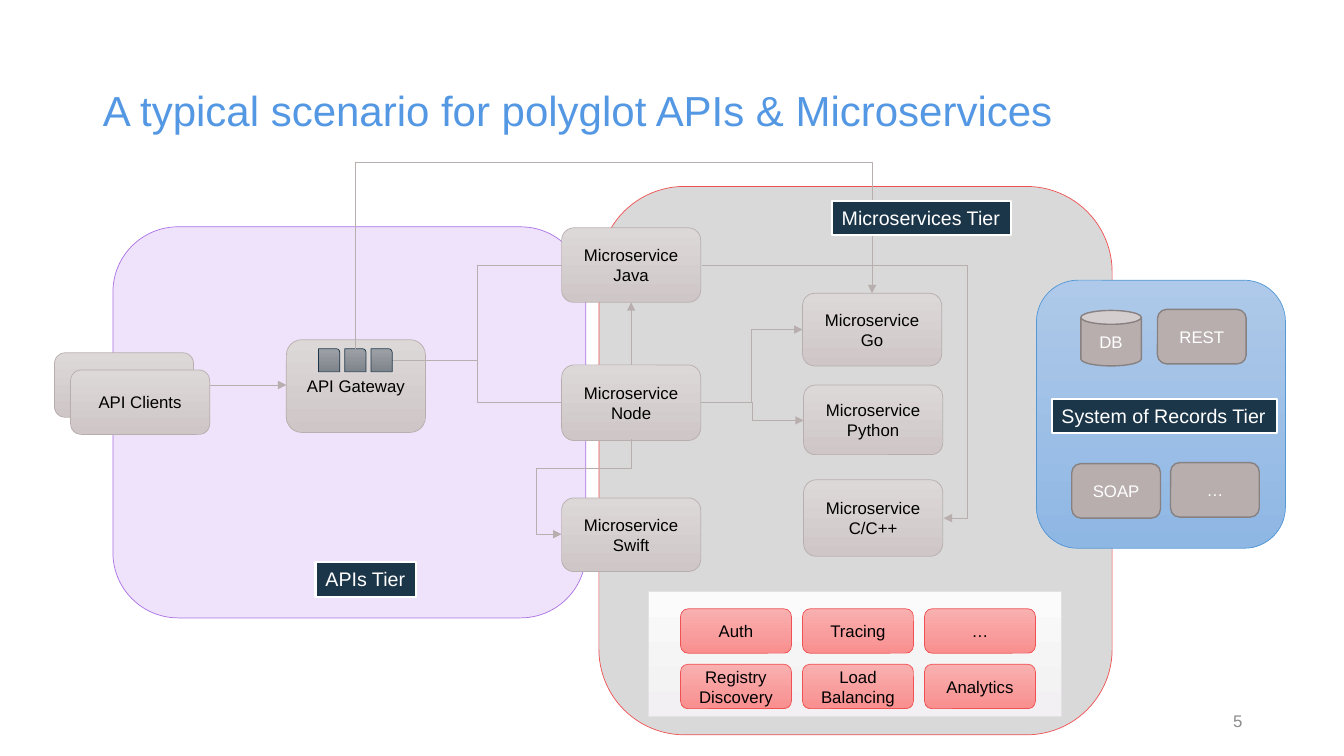
from lxml.etree import SubElement
from pptx import Presentation
from pptx.dml.color import RGBColor
from pptx.enum.shapes import MSO_CONNECTOR, MSO_SHAPE
from pptx.enum.text import MSO_ANCHOR, PP_ALIGN
from pptx.oxml.ns import qn
from pptx.util import Pt

PX = 9144
COLORS = {
    "title": "5498E4", "black": "000000", "white": "FFFFFF", "number": "8C8C8C",
    "lilac": "EEE3FA", "purple": "AC72E6", "gray": "D9D9D9", "red": "F05253",
    "stone": "B8AEAE", "stone_edge": "888181", "navy": "1C3649", "blue": "5498D5",
    "panel_edge": "E4E1E4",
    "service_top": "DDD8D8", "service_bottom": "CFC7C7",
    "panel_top": "FBFBFB", "panel_bottom": "F2F0F2",
    "pink_top": "F9B0B0", "pink_bottom": "F98F8F",
    "icon_top": "9EA2A7", "icon_bottom": "7D838A",
    "records_top": "AEC9E9", "records_bottom": "8FB7E4",
}
SERVICE = ("service_top", "service_bottom")
PINK = ("pink_top", "pink_bottom")


def color(name):
    return RGBColor.from_string(COLORS[name])


def write(frame, text, size=12, ink="black", align=PP_ALIGN.CENTER,
          anchor=MSO_ANCHOR.MIDDLE, wrap=True, spacing=None):
    frame.text = text
    frame.word_wrap = wrap
    frame.vertical_anchor = anchor
    for paragraph in frame.paragraphs:
        paragraph.alignment = align
        paragraph.line_spacing = spacing
        font = paragraph.font
        font.name, font.size = "Arial", Pt(size)
        font.color.rgb = color(ink)


class Diagram:
    def __init__(self, slide, font_size=12, line_width=0.5):
        self.slide = slide
        self.shapes = slide.shapes
        self.font_size = font_size
        self.line_width = line_width

    def title(self, text, box):
        heading = self.shapes.title
        heading.left, heading.top, heading.width, heading.height = (v * PX for v in box)
        write(heading.text_frame, text, size=30, ink="title",
              align=PP_ALIGN.LEFT, spacing=0.9)

    def block(self, box, fill, edge, text="", ink="black",
              kind=MSO_SHAPE.ROUNDED_RECTANGLE, width=None):
        block = self.shapes.add_shape(kind, *(v * PX for v in box))
        block.shadow.inherit = False
        if isinstance(fill, tuple):
            block.fill.gradient()
            block.fill.gradient_angle = 270
            for stop, shade in zip(block.fill.gradient_stops, fill):
                stop.color.rgb = color(shade)
        else:
            block.fill.solid()
            block.fill.fore_color.rgb = color(fill)
        block.line.color.rgb = color(edge)
        block.line.width = Pt(width or self.line_width)
        if text:
            write(block.text_frame, text, size=self.font_size, ink=ink)

    def service(self, box, text=""):
        self.block(box, SERVICE, "stone", text)

    def tag(self, box, text):
        tag = self.shapes.add_textbox(*(v * PX for v in box))
        tag.fill.solid()
        tag.fill.fore_color.rgb = color("navy")
        tag.line.color.rgb = color("white")
        tag.line.width = Pt(1.5)
        write(tag.text_frame, text, size=14, ink="white", align=PP_ALIGN.LEFT,
              anchor=MSO_ANCHOR.TOP, wrap=False)

    def page_number(self, box, text):
        number = self.shapes.add_textbox(*(v * PX for v in box))
        write(number.text_frame, text, ink="number", align=PP_ALIGN.RIGHT)

    def link(self, start, end, bends=(), arrow=True, straight=False, vertical=False):
        (x1, y1), (x2, y2) = start, end
        if vertical:
            center_x, center_y = (x1 + x2) / 2, (y1 + y2) / 2
            half_run, half_rise = (y2 - y1) / 2, (x1 - x2) / 2
            x1, x2 = center_x - half_run, center_x + half_run
            y1, y2 = center_y - half_rise, center_y + half_rise
        route = MSO_CONNECTOR.STRAIGHT if straight else MSO_CONNECTOR.ELBOW
        link = self.shapes.add_connector(route, *(int(v * PX) for v in (x1, y1, x2, y2)))
        link.line.color.rgb = color("stone")
        link.line.width = Pt(self.line_width)
        properties = link._element.spPr
        if vertical:
            properties.find(qn("a:xfrm")).set("rot", "5400000")
        geometry = properties.find(qn("a:prstGeom"))
        if len(bends) == 2:
            geometry.set("prst", "bentConnector4")
        for index, bend in enumerate(bends, 1):
            SubElement(geometry.find(qn("a:avLst")), qn("a:gd"),
                       name=f"adj{index}", fmla=f"val {round(bend * 100000)}")
        if arrow:
            SubElement(properties.find(qn("a:ln")), qn("a:tailEnd"), type="triangle")
        SubElement(properties, qn("a:effectLst"))


def main():
    deck = Presentation()
    deck.slide_width, deck.slide_height = 1333 * PX, 750 * PX
    diagram = Diagram(deck.slides.add_slide(deck.slide_layouts[5]))

    diagram.block((112, 225, 469, 388), "lilac", "purple")
    diagram.block((594, 185, 509, 544), "gray", "red")
    diagram.title("A typical scenario for polyglot APIs & Microservices",
                  (92, 40, 1119, 145))

    for language, left, top, height in (
            ("Java", 557, 226, 74), ("Node", 557, 362, 75), ("Swift", 557, 494, 73),
            ("Go", 796, 291, 72), ("Python", 797, 382, 69), ("C/C++", 797, 476, 76)):
        diagram.service((left, top, 138, height), f"Microservice\n{language}")
    diagram.service((284, 337, 138, 92), "API Gateway")
    diagram.service((54, 350, 138, 64))
    diagram.link((192, 382), (284, 382), straight=True)
    diagram.service((70, 367, 138, 64), "API Clients")

    java, node, gateway = (696, 263), (695, 399), (389, 358)
    for entry in ((557, 399), (557, 263)):
        diagram.link(gateway, entry, arrow=False)
    diagram.link(java, (936, 514), bends=[1.1])
    for target in ((796, 327), (797, 417)):
        diagram.link(node, target)
    diagram.link((626, 436), (557, 530), bends=[0.31, 1.36], vertical=True)
    diagram.link((626, 362), (626, 300), straight=True)

    for column in range(3):
        diagram.block((316 + 26 * column, 346, 21, 23), ("icon_top", "icon_bottom"),
                      "navy", kind=MSO_SHAPE.ROUND_1_RECTANGLE)
    diagram.link((352, 346), (865, 291), bends=[3.36], vertical=True)

    diagram.block((643, 587, 410, 124), ("panel_top", "panel_bottom"), "panel_edge",
                  kind=MSO_SHAPE.RECTANGLE)
    support = (("Auth", "Tracing", "…"),
               ("Registry\nDiscovery", "Load Balancing", "Analytics"))
    for row, capabilities in enumerate(support):
        for column, capability in enumerate(capabilities):
            diagram.block((675 + 121 * column, 604 + 55 * row, 110, 44),
                          PINK, "red", capability)

    diagram.block((1028, 278, 247, 266), ("records_top", "records_bottom"), "blue")
    diagram.block((1072, 308, 60, 55), "stone", "stone_edge", "DB", ink="white",
                  kind=MSO_SHAPE.CAN, width=1)
    for system, left, top in (("REST", 1148, 307), ("SOAP", 1063, 460), ("…", 1161, 459)):
        diagram.block((left, top, 88, 54), "stone", "stone_edge", system,
                      ink="white", width=1)

    for tier, left, top, width in (("APIs Tier", 313, 558, 100),
                                   ("Microservices Tier", 825, 199, 178),
                                   ("System of Records Tier", 1043, 396, 224)):
        diagram.tag((left, top, width, 34), tier)
    diagram.page_number((942, 695, 300, 40), "5")

    deck.save("out.pptx")


if __name__ == "__main__":
    main()
